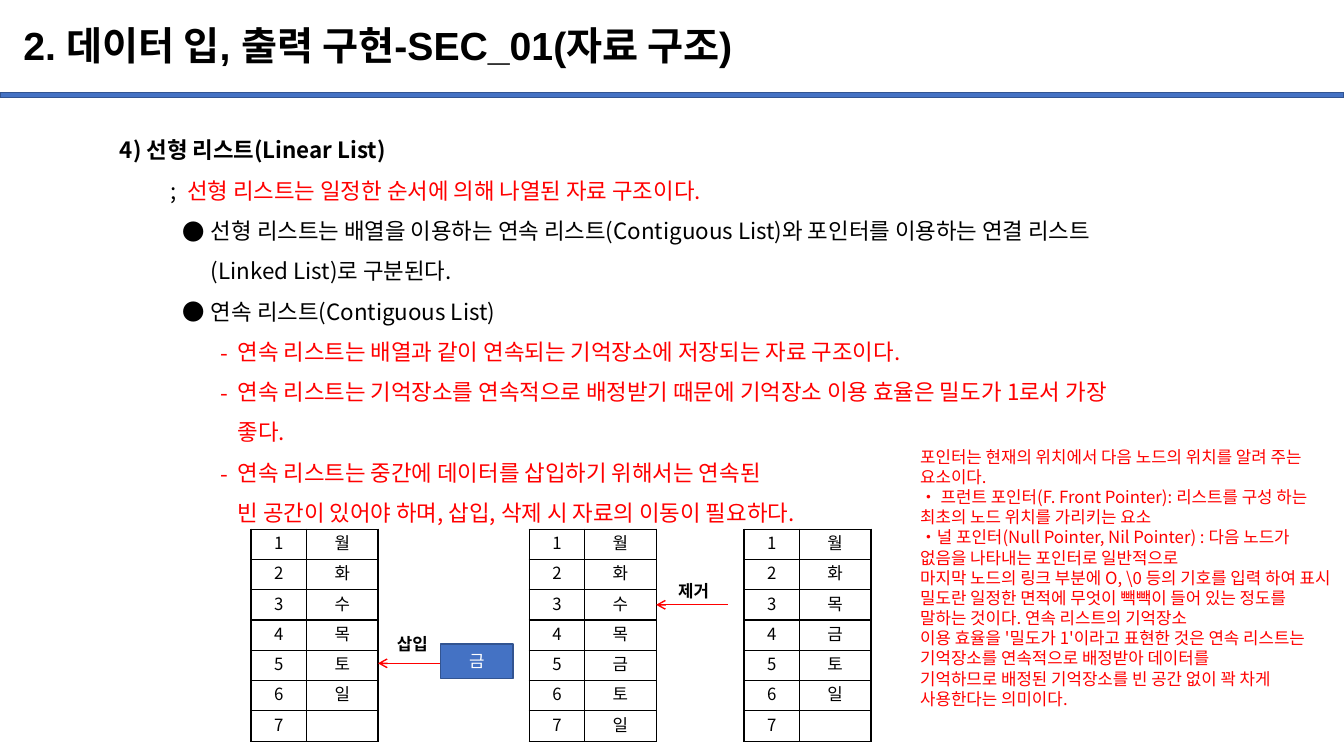
from lxml.etree import SubElement
from pptx import Presentation
from pptx.dml.color import RGBColor
from pptx.enum.shapes import MSO_CONNECTOR as Connector, MSO_SHAPE as Shape
from pptx.enum.text import MSO_ANCHOR as Anchor, MSO_AUTO_SIZE as AutoSize, PP_ALIGN as Align
from pptx.oxml.ns import qn
from pptx.util import Pt

BLACK = RGBColor(0x00, 0x00, 0x00)
WHITE = RGBColor(0xFF, 0xFF, 0xFF)
RED = RGBColor(0xFF, 0x00, 0x00)
BLUE = RGBColor(0x44, 0x72, 0xC4)
DARK_BLUE = RGBColor(0x32, 0x54, 0x91)

KOREAN = "Noto Sans CJK KR"
SMALL = {"size": Pt(12), "name": KOREAN, "bold": False}
LABEL = {**SMALL, "bold": True}
BODY = {"size": Pt(16), "name": KOREAN, "bold": False}
TITLE = {"size": Pt(28), "name": "Arial", "bold": True}
SMALL_LINE = Pt(14.4)
BODY_LINE = Pt(28.8)

# Outline levels: bullet, bullet colour, text start, hanging width
HEADING = (None, BLACK, 0, 0)
REMARK = (";", BLACK, 48, 12)
POINT = ("●", BLACK, 65, 20)
DETAIL = ("-", RED, 84, 12)

OUTLINE = [
    (HEADING, BLACK, ["4) 선형 리스트(Linear List)"]),
    (REMARK, RED, ["선형 리스트는 일정한 순서에 의해 나열된 자료 구조이다."]),
    (POINT, BLACK, ["선형 리스트는 배열을 이용하는 연속 리스트(Contiguous List)와 포인터를 이용하는 연결 리스트",
                    "(Linked List)로 구분된다."]),
    (POINT, BLACK, ["연속 리스트(Contiguous List)"]),
    (DETAIL, RED, ["연속 리스트는 배열과 같이 연속되는 기억장소에 저장되는 자료 구조이다."]),
    (DETAIL, RED, ["연속 리스트는 기억장소를 연속적으로 배정받기 때문에 기억장소 이용 효율은 밀도가 1로서 가장",
                   "좋다."]),
    (DETAIL, RED, ["연속 리스트는 중간에 데이터를 삽입하기 위해서는 연속된",
                   "빈 공간이 있어야 하며, 삽입, 삭제 시 자료의 이동이 필요하다."]),
]

NOTES = [
    "포인터는 현재의 위치에서 다음 노드의 위치를 알려 주는 요소이다.",
    "• 프런트 포인터(F. Front Pointer): 리스트를 구성 하는 최초의 노드 위치를 가리키는 요소",
    "•널 포인터(Null Pointer, Nil Pointer) : 다음 노드가 없음을 나타내는 포인터로 일반적으로",
    "마지막 노드의 링크 부분에 O, \\0 등의 기호를 입력 하여 표시",
    "밀도란 일정한 면적에 무엇이 빽빽이 들어 있는 정도를 말하는 것이다. 연속 리스트의 기억장소",
    "이용 효율을 '밀도가 1'이라고 표현한 것은 연속 리스트는 기억장소를 연속적으로 배정받아 데이터를",
    "기억하므로 배정된 기억장소를 빈 공간 없이 꽉 차게 사용한다는 의미이다.",
]

BEFORE_INSERT = "월화수목토일"
AFTER_INSERT = "월화수목금토일"
AFTER_REMOVE = "월화목금토일"
SLOTS = 7
ROW_HEIGHT = 21.6
NUMBER_WIDTH, DAY_WIDTH = 39.6, 51.1
TABLE_WIDTH = NUMBER_WIDTH + DAY_WIDTH


def add_run(paragraph, text, style, color):
    run = paragraph.add_run()
    run.text = text
    for name, value in style.items():
        setattr(run.font, name, value)
    run.font.color.rgb = color
    SubElement(run.font._element, qn("a:ea"), typeface=KOREAN)


def format_paragraph(paragraph, line_spacing, alignment=Align.LEFT):
    settings = {"alignment": alignment, "line_spacing": line_spacing,
                "space_before": Pt(0), "space_after": Pt(0)}
    for name, value in settings.items():
        setattr(paragraph, name, value)


def set_bullet(paragraph, character, color, margin, hanging):
    properties = paragraph._p.get_or_add_pPr()
    properties.set("marL", str(Pt(margin)))
    properties.set("indent", str(-Pt(hanging)))
    if character is None:
        SubElement(properties, qn("a:buNone"))
        return
    SubElement(SubElement(properties, qn("a:buClr")), qn("a:srgbClr"), val=str(color))
    SubElement(properties, qn("a:buFont"), typeface=KOREAN)
    SubElement(properties, qn("a:buChar"), char=character)


def place(shape, left, top, width, height):
    box = {"left": left, "top": top, "width": width, "height": height}
    for name, value in box.items():
        setattr(shape, name, Pt(value))


def add_box(slide, left, top, width, height):
    box = slide.shapes.add_shape(Shape.RECTANGLE, Pt(left), Pt(top), Pt(width), Pt(height))
    box.shadow.inherit = False
    box.fill.solid()
    box.fill.fore_color.rgb = BLUE
    box.line.color.rgb = DARK_BLUE
    box.line.width = Pt(1)
    return box


def add_header(slide, left, top, width):
    # Rule across the slide and the title above it
    add_box(slide, left, top + 66.2, width, 3.6)
    title = slide.shapes.title
    place(title, left + 9.4, top + 7.2, 828, 53.3)
    title.text_frame.auto_size = AutoSize.NONE
    title.text_frame.vertical_anchor = Anchor.MIDDLE
    paragraph = title.text_frame.paragraphs[0]
    format_paragraph(paragraph, 0.9)
    add_run(paragraph, "2. 데이터 입, 출력 구현-SEC_01(자료 구조)", TITLE, BLACK)


def add_outline(slide, left, top, width, height):
    body = slide.placeholders[1]
    place(body, left, top, width, height)
    frame = body.text_frame
    frame.auto_size = AutoSize.NONE
    for index, (level, color, lines) in enumerate(OUTLINE):
        paragraph = frame.add_paragraph() if index else frame.paragraphs[0]
        set_bullet(paragraph, *level)
        format_paragraph(paragraph, BODY_LINE)
        style = {**BODY, "bold": level is HEADING}
        for number, line in enumerate(lines):
            if number:
                paragraph.add_line_break()
            add_run(paragraph, line, style, color)


def add_text(slide, left, top, width, height, texts, style, color, wrap=True):
    frame = slide.shapes.add_textbox(Pt(left), Pt(top), Pt(width), Pt(height)).text_frame
    frame.word_wrap = wrap
    for index, text in enumerate(texts):
        paragraph = frame.add_paragraph() if index else frame.paragraphs[0]
        format_paragraph(paragraph, SMALL_LINE)
        add_run(paragraph, text, style, color)


def fill_cell(cell, text):
    properties = cell._tc.get_or_add_tcPr()
    for side in ("a:lnL", "a:lnR", "a:lnT", "a:lnB"):
        border = SubElement(properties, qn(side), w=str(Pt(1)))
        SubElement(SubElement(border, qn("a:solidFill")), qn("a:srgbClr"), val=str(BLACK))
    cell.fill.solid()
    cell.fill.fore_color.rgb = WHITE
    paragraph = cell.text_frame.paragraphs[0]
    format_paragraph(paragraph, SMALL_LINE, Align.CENTER)
    if text:
        add_run(paragraph, text, SMALL, BLACK)
    else:
        SubElement(paragraph._p, qn("a:endParaRPr"), sz="1200")


def add_day_table(slide, left, top, days):
    table = slide.shapes.add_table(SLOTS, 2, Pt(left), Pt(top), Pt(TABLE_WIDTH),
                                   Pt(SLOTS * ROW_HEIGHT)).table
    for column, width in zip(table.columns, (NUMBER_WIDTH, DAY_WIDTH)):
        column.width = Pt(width)
    for index, row in enumerate(table.rows):
        row.height = Pt(ROW_HEIGHT)
        fill_cell(row.cells[0], str(index + 1))
        fill_cell(row.cells[1], days[index:index + 1])


def add_arrow(slide, start, end, y):
    arrow = slide.shapes.add_connector(Connector.STRAIGHT, Pt(start), Pt(y), Pt(end), Pt(y))
    arrow.line.color.rgb = RED
    arrow.line.width = Pt(1)
    properties = arrow.element.spPr
    SubElement(properties.find(qn("a:ln")), qn("a:tailEnd"), type="arrow")
    SubElement(properties, qn("a:effectLst"))


def add_list_diagram(slide, left, top):
    # List states before and after each change
    middle, right = left + 198.7, left + 352.1
    for table_left, days in ((left, BEFORE_INSERT), (middle, AFTER_INSERT), (right, AFTER_REMOVE)):
        add_day_table(slide, table_left, top, days)

    # Arrows with their labels
    for table_left, y, label, gap in ((left, 95.8, "삽입", 6.5), (middle, 54, "제거", 8.6)):
        edge = table_left + TABLE_WIDTH
        add_arrow(slide, edge + 51.1, edge, top + y)
        add_text(slide, edge + gap, top + y - 21.6 - (2.9 if label == "삽입" else -0.7),
                 38.9, 21.6, [label], LABEL, BLACK, wrap=False)

    # Inserted item
    item = add_box(slide, left + 135.4, top + 82.1, 51.8, 24.5)
    item.text_frame.vertical_anchor = Anchor.MIDDLE
    paragraph = item.text_frame.paragraphs[0]
    format_paragraph(paragraph, SMALL_LINE, Align.CENTER)
    add_run(paragraph, "금", SMALL, WHITE)


def main():
    presentation = Presentation()
    presentation.slide_width, presentation.slide_height = Pt(960), Pt(540)
    slide = presentation.slides.add_slide(presentation.slide_layouts[1])
    add_header(slide, 0, 0, 960)
    add_outline(slide, 78.5, 84.2, 843.8, 298)
    add_list_diagram(slide, 179.3, 378)
    add_text(slide, 650.2, 315.4, 309.6, 211, NOTES, SMALL, RED)
    presentation.save("out.pptx")


if __name__ == "__main__":
    main()
